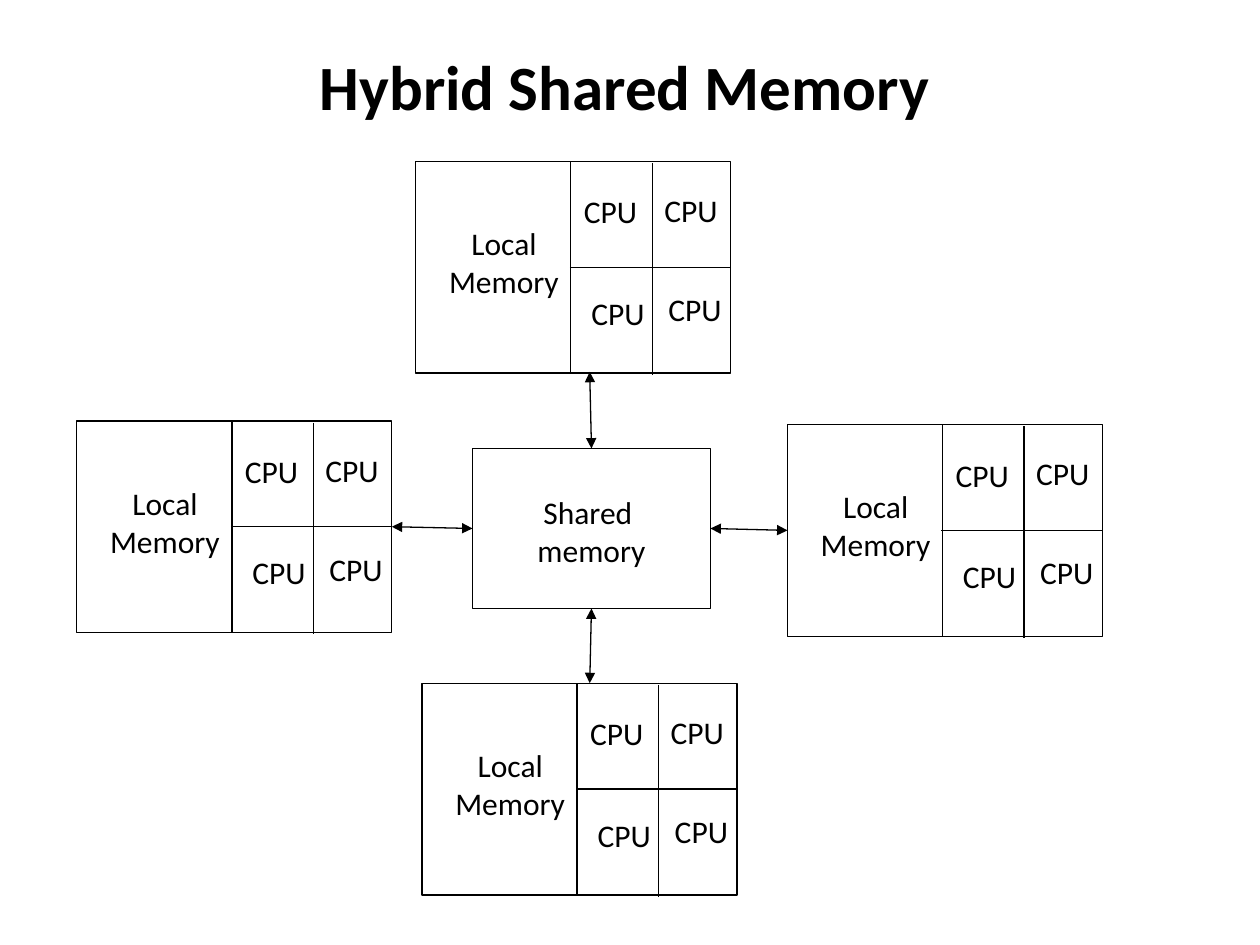
from typing import NamedTuple

from lxml.etree import SubElement
from pptx import Presentation
from pptx.dml.color import RGBColor
from pptx.enum.shapes import MSO_CONNECTOR as Conn, MSO_SHAPE as Kind
from pptx.enum.text import MSO_ANCHOR as Anchor, PP_ALIGN as Align
from pptx.oxml.ns import qn
from pptx.util import Pt

INK, PAPER = "000000", "FFFFFF"
TOP, LEFT, BOTTOM, RIGHT = range(4)


class Box(NamedTuple):
    x: float
    y: float
    w: float
    h: float


class Label(NamedTuple):
    text: str
    box: Box
    align: Align


class Link(NamedTuple):
    start: tuple
    end: tuple
    head: tuple = ()
    tail: tuple = ()


NODES = {
    "top": (237.6, 92.2),
    "left": (43.9, 240.5),
    "right": (450, 242.6),
    "bottom": (241.2, 390.4),
}
LABELS = [
    Label("CPU", Box(x, y, 75, 40), Align.LEFT)
    for x, y in ((89, 14.2), (135, 13.5), (93.2, 72.2), (137.3, 70))
] + [Label("Local Memory", Box(-0.4, 32.4, 101.5, 62), Align.CENTER)]
SPLITS = (((88.6, 0), (88.6, 121)), ((135.2, 1), (135.2, 122)))


def color(code: str) -> RGBColor:
    return RGBColor.from_string(code)


def style(frame, align: Align, size: float = 18, bold: bool = False) -> None:
    frame.word_wrap = True
    for para in frame.paragraphs:
        para.alignment = align
        for run in para.runs:
            font = run.font
            font.name, font.size, font.bold = "Calibri", Pt(size), bold
            font.color.rgb = color(INK)


def add_text(shapes, label: Label, **look):
    field = shapes.add_textbox(*map(Pt, label.box))
    field.text_frame.text = label.text
    style(field.text_frame, label.align, **look)
    return field.text_frame


def add_rect(shapes, box: Box):
    rect = shapes.add_shape(Kind.RECTANGLE, *map(Pt, box))
    rect.shadow.inherit = False
    rect.fill.solid()
    rect.fill.fore_color.rgb = color(PAPER)
    rect.line.color.rgb = color(INK)
    rect.line.width = Pt(0.75)
    return rect


def add_line(shapes, link: Link, arrows: bool = False) -> None:
    line = shapes.add_connector(Conn.STRAIGHT, *map(Pt, link.start + link.end))
    if link.head:
        line.begin_connect(*link.head)
    if link.tail:
        line.end_connect(*link.tail)
    line.line.color.rgb = color(INK)
    line.line.width = Pt(0.75)
    if arrows:
        for tag in ("a:headEnd", "a:tailEnd"):
            SubElement(line.line._get_or_add_ln(), qn(tag), type="triangle")
    SubElement(line._element.spPr, qn("a:effectLst"))


def add_node(shapes, x: float, y: float):
    group = shapes.add_group_shape().shapes
    rect = add_rect(group, Box(x, y, 180, 121))
    for (x1, y1), (x2, y2) in SPLITS:
        add_line(group, Link((x + x1, y + y1), (x + x2, y + y2)))
    mid = y + 60.5
    add_line(group, Link((x + 88, mid), (x + 180, mid), tail=(rect, RIGHT)))
    for label in LABELS:
        box = label.box
        place = box._replace(x=x + box.x, y=y + box.y)
        frame = add_text(group, label._replace(box=place))
        frame.paragraphs[0].space_after = Pt(10)
    return rect


def main() -> None:
    """Build the hybrid shared memory slide."""
    deck = Presentation()
    deck.slide_width, deck.slide_height = Pt(720), Pt(540)
    shapes = deck.slides.add_slide(deck.slide_layouts[6]).shapes

    title = Label("Hybrid Shared Memory", Box(36, 12.2, 642, 73.4), Align.CENTER)
    add_text(shapes, title, size=36, bold=True).vertical_anchor = Anchor.MIDDLE

    hub = add_rect(shapes, Box(270, 256.3, 136, 91.4))
    frame = hub.text_frame
    frame.text = "Shared \nmemory"
    frame.vertical_anchor = Anchor.TOP
    frame.margin_top = Pt(25.6)
    style(frame, Align.CENTER)

    nodes = {name: add_node(shapes, *spot) for name, spot in NODES.items()}
    links = (
        Link((337, 212.5), (338, 256.3), tail=(hub, TOP)),
        Link((338, 347.7), (337, 390.4), head=(hub, BOTTOM)),
        Link((224, 301), (270, 302), (nodes["left"], RIGHT), (hub, LEFT)),
        Link((406, 302), (450, 303), (hub, RIGHT), (nodes["right"], LEFT)),
    )
    for link in links:
        add_line(shapes, link, arrows=True)

    deck.save("out.pptx")


if __name__ == "__main__":
    main()
